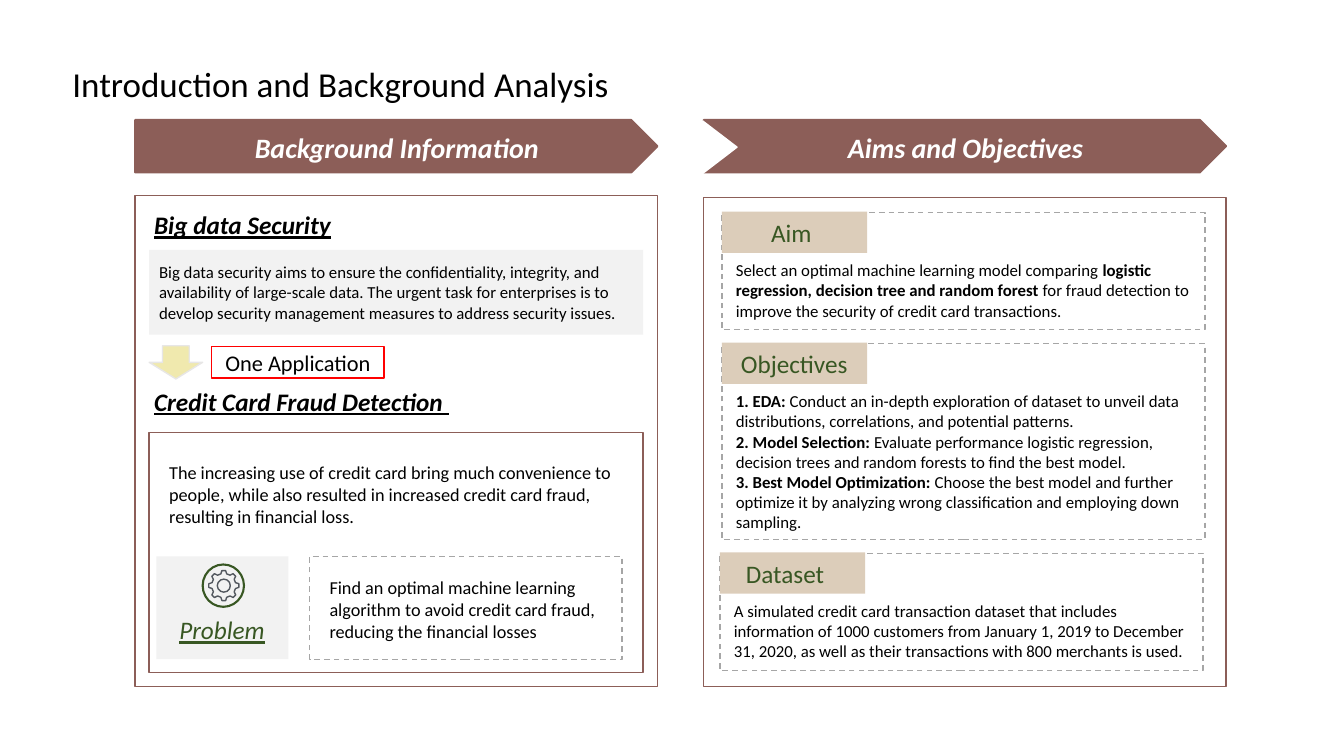
import math
import pptx
import pptx.dml.color
import pptx.enum.dml
import pptx.enum.shapes
import pptx.enum.text
import pptx.oxml.ns
import pptx.util
from lxml import etree

Inches = pptx.util.Inches
Pt = pptx.util.Pt
SHAPE = pptx.enum.shapes.MSO_SHAPE
CENTER = pptx.enum.text.PP_ALIGN.CENTER
MIDDLE = pptx.enum.text.MSO_ANCHOR.MIDDLE
BROWN, GREEN, GREY, TAN, PALE = "8C5E58", "385723", "A6A6A6", "DCCDBA", "F2F2F2"
BLACK, WHITE = "000000", "FFFFFF"


def color(value):
    return pptx.dml.color.RGBColor.from_string(value)


def style(sp, fill=None, line=None, width=1, dash=False):
    sp.shadow.inherit = False
    if fill:
        sp.fill.solid()
        sp.fill.fore_color.rgb = color(fill)
    else:
        sp.fill.background()
    if line:
        sp.line.color.rgb = color(line)
        sp.line.width = Pt(width)
        if dash:
            sp.line.dash_style = pptx.enum.dml.MSO_LINE.DASH
    else:
        sp.line.fill.background()


def add_shape(s, kind, x, y, w, h, **look):
    sp = s.shapes.add_shape(kind, Inches(x), Inches(y), Inches(w), Inches(h))
    style(sp, **look)
    return sp


def write(sp, paragraphs, size, ink=BLACK, bold=False, italic=False,
          underline=False, align=None, spacing=None, insets=None, wrap=True):
    tf = sp.text_frame
    tf.word_wrap = wrap
    if insets:
        tf.margin_left, tf.margin_top, tf.margin_right, tf.margin_bottom = map(Inches, insets)
    for i, runs in enumerate(paragraphs):
        p = tf.paragraphs[0] if i == 0 else tf.add_paragraph()
        p.alignment = align or pptx.enum.text.PP_ALIGN.LEFT
        if spacing:
            p.line_spacing = spacing
        for text, strong in runs:
            r = p.add_run()
            r.text = text
            r.font.name = "Calibri"
            r.font.size = Pt(size)
            r.font.color.rgb = color(ink)
            r.font.bold = bold or strong
            r.font.italic = italic
            r.font.underline = underline


def plain(text):
    return [[(text, False)]]


def add_text(s, x, y, w, h, paragraphs, size, **look):
    sp = s.shapes.add_textbox(Inches(x), Inches(y), Inches(w), Inches(h))
    write(sp, paragraphs, size, **look)


def add_banner(s, x, y, w, h, text, notched=False):
    sp = add_shape(s, SHAPE.PENTAGON, x, y, w, h, fill=BROWN, line=BROWN, width=1.5)
    sp.text_frame.vertical_anchor = MIDDLE
    write(sp, plain(text), 20, WHITE, bold=True, italic=True, align=CENTER,
          spacing=1.06, insets=(0.24, 0.1, 0.1, 0.1))
    if notched:
        notch = add_shape(s, SHAPE.ISOSCELES_TRIANGLE, x - 0.1, y + 0.1, h, 0.34,
                          fill=WHITE, line=WHITE)
        notch.rotation = 90


def add_gear(s, cx, cy, radius):
    points = []
    for tooth in range(8):
        for offset, reach in ((-14, 0.8), (-7, 1), (7, 1), (14, 0.8)):
            a = math.radians(45 * tooth + offset)
            points.append((Inches(cx + radius * reach * math.cos(a)),
                           Inches(cy + radius * reach * math.sin(a))))
    builder = s.shapes.build_freeform(*points[0])
    builder.add_line_segments(points[1:], close=True)
    style(builder.convert_to_shape(), line="53585F")
    hub = radius * 0.43
    add_shape(s, SHAPE.OVAL, cx - hub, cy - hub, 2 * hub, 2 * hub, line="53585F")


def add_problem(s, x, y, h):
    add_shape(s, SHAPE.RECTANGLE, x, y, 1.31, h, fill=PALE)
    add_shape(s, SHAPE.OVAL, x + 0.46, y + 0.08, 0.41, 0.42, line=GREEN, width=1.5)
    add_gear(s, x + 0.67, y + 0.29, 0.15)
    add_text(s, x + 0.13, y + 0.53, 1.07, 0.4, plain("Problem"), 18, ink=GREEN,
             italic=True, underline=True, wrap=False)
    add_shape(s, SHAPE.RECTANGLE, x + 1.52, y, 3.1, h, line=GREY, dash=True)
    add_text(s, x + 1.62, y + 0.15, 3.1, 0.76, plain(
        "Find an optimal machine learning algorithm to avoid credit card fraud, "
        "reducing the financial losses"), 13)


def add_background(s, x, y, w, h):
    add_shape(s, SHAPE.RECTANGLE, x, y, w, h, line=BROWN)
    for dy, width, heading in ((0.09, 1.97, "Big data Security"),
                               (1.84, 3.16, "Credit Card Fraud Detection ")):
        add_text(s, x + 0.09, y + dy, width, 0.4, plain(heading), 18,
                 bold=True, italic=True, underline=True, wrap=False)
    left, inner = x + 0.14, w - 0.28
    sp = add_shape(s, SHAPE.RECTANGLE, left, y + 0.54, inner, 0.84, fill=PALE)
    sp.text_frame.vertical_anchor = MIDDLE
    write(sp, plain(
        "Big data security aims to ensure the confidentiality, integrity, and "
        "availability of large-scale data. The urgent task for enterprises is to "
        "develop security management measures to address security issues."),
        12, insets=(0.1,) * 4)
    add_shape(s, SHAPE.DOWN_ARROW, left, y + 1.49, 0.53, 0.33, fill="F0E9AE", line="E7E6E6")
    sp = add_shape(s, SHAPE.RECTANGLE, x + 0.76, y + 1.5, 1.71, 0.31, line="FF0000")
    sp.text_frame.vertical_anchor = MIDDLE
    write(sp, plain("One Application"), 16, align=CENTER)
    add_shape(s, SHAPE.RECTANGLE, left, y + 2.35, inner, 2.38, line=BROWN)
    add_text(s, x + 0.24, y + 2.59, 4.6, 0.76, plain(
        "The increasing use of credit card bring much convenience to people, while "
        "also resulted in increased credit card fraud, resulting in financial loss."), 13)
    add_problem(s, x + 0.21, y + 3.58, 1.02)


def add_card(s, x, y, h, label, label_dx, body, body_width=4.74):
    add_shape(s, SHAPE.RECTANGLE, x, y, 4.79, h, line=GREY, dash=True)
    add_shape(s, SHAPE.RECTANGLE, x, y - 0.01, 1.44, 0.41, fill=TAN)
    add_text(s, x + label_dx, y, 1.3, 0.4, plain(label), 18, ink=GREEN)
    add_text(s, x + 0.04, y + 0.42, body_width, h - 0.45, body, 12)


def add_aims(s, x, y, w, h):
    add_shape(s, SHAPE.RECTANGLE, x, y, w, h, line=BROWN)
    add_card(s, x + 0.18, y + 0.15, 1.16, "Aim", 0.39, [[
        ("Select an optimal machine learning model comparing ", False),
        ("logistic regression, decision tree and random forest", True),
        (" for fraud detection to improve the security of credit card transactions.", False),
    ]], body_width=4.96)
    add_card(s, x + 0.18, y + 1.45, 1.94, "Objectives", 0.09, [
        [("1. EDA: ", True),
         ("Conduct an in-depth exploration of dataset to unveil data distributions, "
          "correlations, and potential patterns.", False)],
        [("2. Model Selection: ", True),
         ("Evaluate performance logistic regression, decision trees and random "
          "forests to find the best model.", False)],
        [("3. Best Model Optimization: ", True),
         ("Choose the best model and further optimize it by analyzing wrong "
          "classification and employing down sampling.", False)],
    ])
    add_card(s, x + 0.16, y + 3.53, 1.16, "Dataset", 0.16, plain(
        "A simulated credit card transaction dataset that includes information of "
        "1000 customers from January 1, 2019 to December 31, 2020, as well as their "
        "transactions with 800 merchants is used."))


def main():
    prs = pptx.Presentation()
    prs.slide_width, prs.slide_height = Inches(13.33), Inches(7.5)
    s = prs.slides.add_slide(prs.slide_layouts[6])
    add_text(s, 0.62, 0.57, 5.58, 0.52, plain("Introduction and Background Analysis"),
             25, wrap=False)
    add_banner(s, 1.34, 1.19, 5.18, 0.52, "Background Information")
    add_background(s, 1.34, 1.94, 5.18, 4.87)
    add_banner(s, 6.98, 1.19, 5.18, 0.52, "Aims and Objectives", notched=True)
    add_aims(s, 6.98, 1.96, 5.18, 4.85)
    prs.save("out.pptx")


if __name__ == "__main__":
    main()
